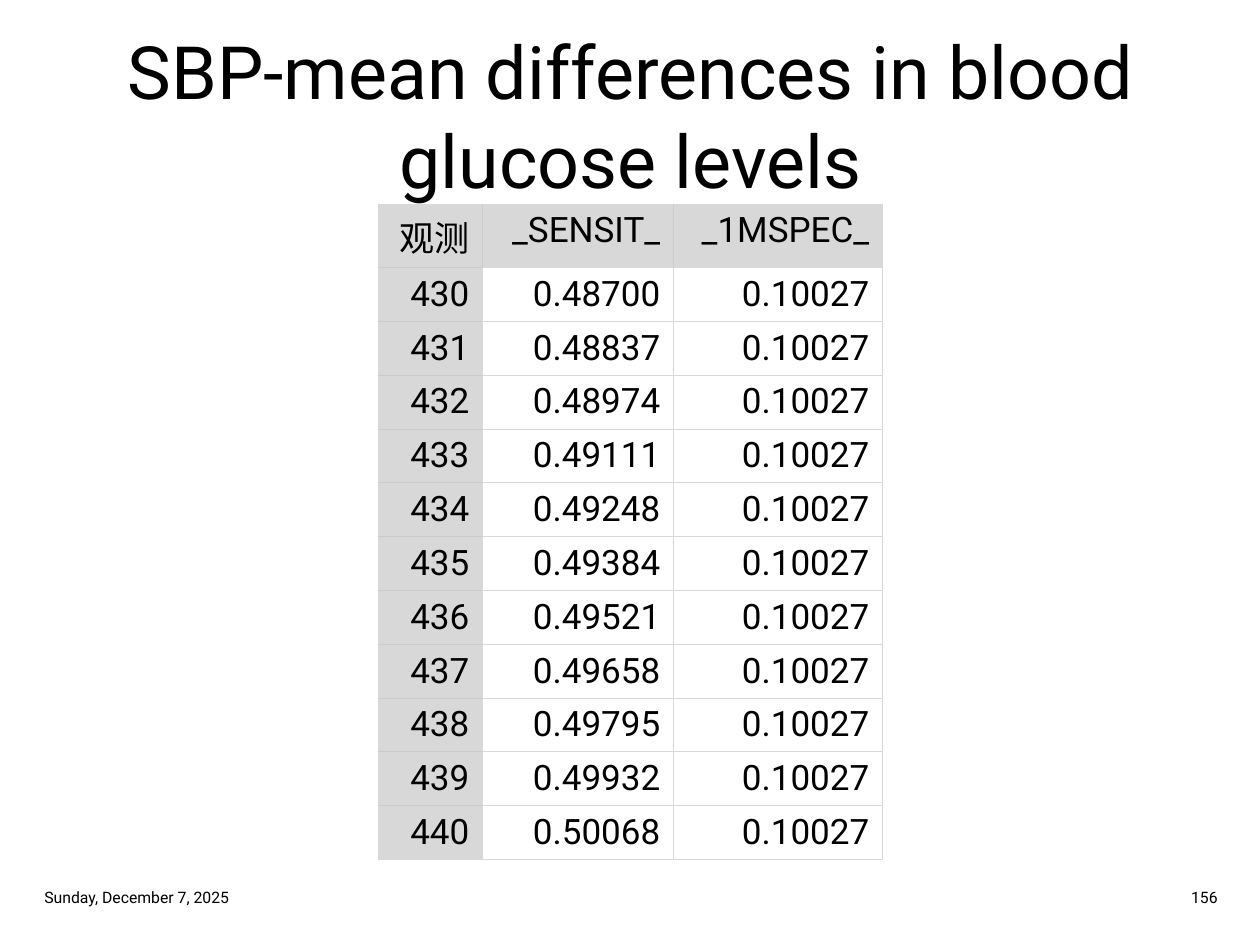
from lxml import etree
from pptx import Presentation
from pptx.dml.color import RGBColor
from pptx.enum.text import MSO_ANCHOR, MSO_AUTO_SIZE, PP_ALIGN
from pptx.oxml.ns import qn
from pptx.util import Emu, Pt

PX = 914400 / 126
FONT = "Roboto"
BLACK = RGBColor(0x00, 0x00, 0x00)
HEADER_GREY = RGBColor(0xD8, 0xD8, 0xD8)
INNER_GREY = RGBColor(0xCC, 0xCC, 0xCC)
LEFT, CENTER, RIGHT = PP_ALIGN.LEFT, PP_ALIGN.CENTER, PP_ALIGN.RIGHT
MIDDLE = MSO_ANCHOR.MIDDLE
NO_AUTOFIT = MSO_AUTO_SIZE.NONE


def px(length):
    return Emu(round(length * PX))


def set_text(text_frame, text, size, alignment):
    text_frame.text = text
    for paragraph in text_frame.paragraphs:
        paragraph.alignment = alignment
        for run in paragraph.runs:
            run.font.name = FONT
            run.font.size = Pt(size)
            run.font.color.rgb = BLACK


presentation = Presentation()
presentation.slide_width, presentation.slide_height = px(1260), px(945)
slide = presentation.slides.add_slide(presentation.slide_layouts[5])

# Title
title = slide.shapes.title
title.left, title.top, title.width, title.height = px(32), px(32), px(1197), px(165)
title.text_frame.auto_size = NO_AUTOFIT
title.text_frame.vertical_anchor = MIDDLE
set_text(title.text_frame, "SBP-mean differences in blood\vglucose levels", 42, CENTER)

# Table of sensitivity and 1 - specificity by observation
sensitivities = ["0.48700", "0.48837", "0.48974", "0.49111", "0.49248", "0.49384",
                 "0.49521", "0.49658", "0.49795", "0.49932", "0.50068"]
rows = [("观测", "_SENSIT_", "_1MSPEC_")]
rows += [(str(number), sensitivity, "0.10027")
         for number, sensitivity in enumerate(sensitivities, start=430)]
column_widths = [104, 191, 209]
row_height = 53
last_row, last_column = len(rows) - 1, len(column_widths) - 1

table = slide.shapes.add_table(len(rows), len(column_widths), px(378), px(204),
                               px(sum(column_widths)), px(row_height * len(rows))).table
for column, width in zip(table.columns, column_widths):
    column.width = px(width)

for row_index, values in enumerate(rows):
    table.rows[row_index].height = px(row_height)
    for column_index, value in enumerate(values):
        cell = table.cell(row_index, column_index)
        set_text(cell.text_frame, value, 20, RIGHT)
        is_header = row_index == 0 or column_index == 0

        # Borders: darker between header cells, light elsewhere
        outer_edges = {"a:lnL": column_index == 0, "a:lnR": column_index == last_column,
                       "a:lnT": row_index == 0, "a:lnB": row_index == last_row}
        properties = cell._tc.get_or_add_tcPr()
        for edge, is_outer in outer_edges.items():
            color = INNER_GREY if is_header and not is_outer else HEADER_GREY
            line = etree.SubElement(properties, qn(edge), w=str(Pt(0.5)))
            fill = etree.SubElement(line, qn("a:solidFill"))
            etree.SubElement(fill, qn("a:srgbClr"), val=str(color))

        if is_header:
            cell.fill.solid()
            cell.fill.fore_color.rgb = HEADER_GREY
        else:
            cell.fill.background()

# Date and slide number
for left, text, alignment in [(32, "Sunday, December 7, 2025", LEFT), (930, "156", RIGHT)]:
    footer = slide.shapes.add_textbox(px(left), px(881), px(300), px(33))
    footer.text_frame.word_wrap = True
    footer.text_frame.vertical_anchor = MIDDLE
    set_text(footer.text_frame, text, 9, alignment)

presentation.save("out.pptx")
